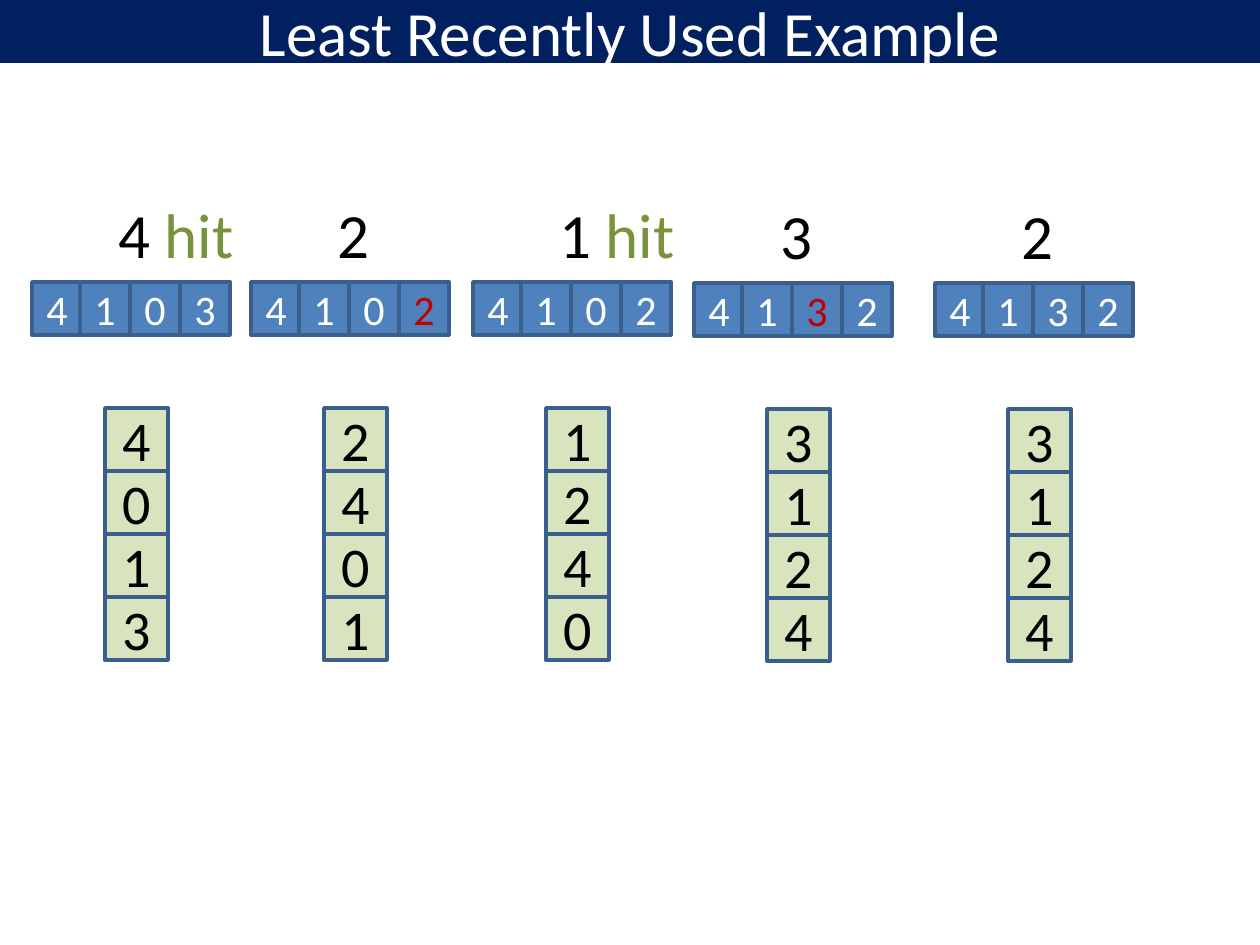
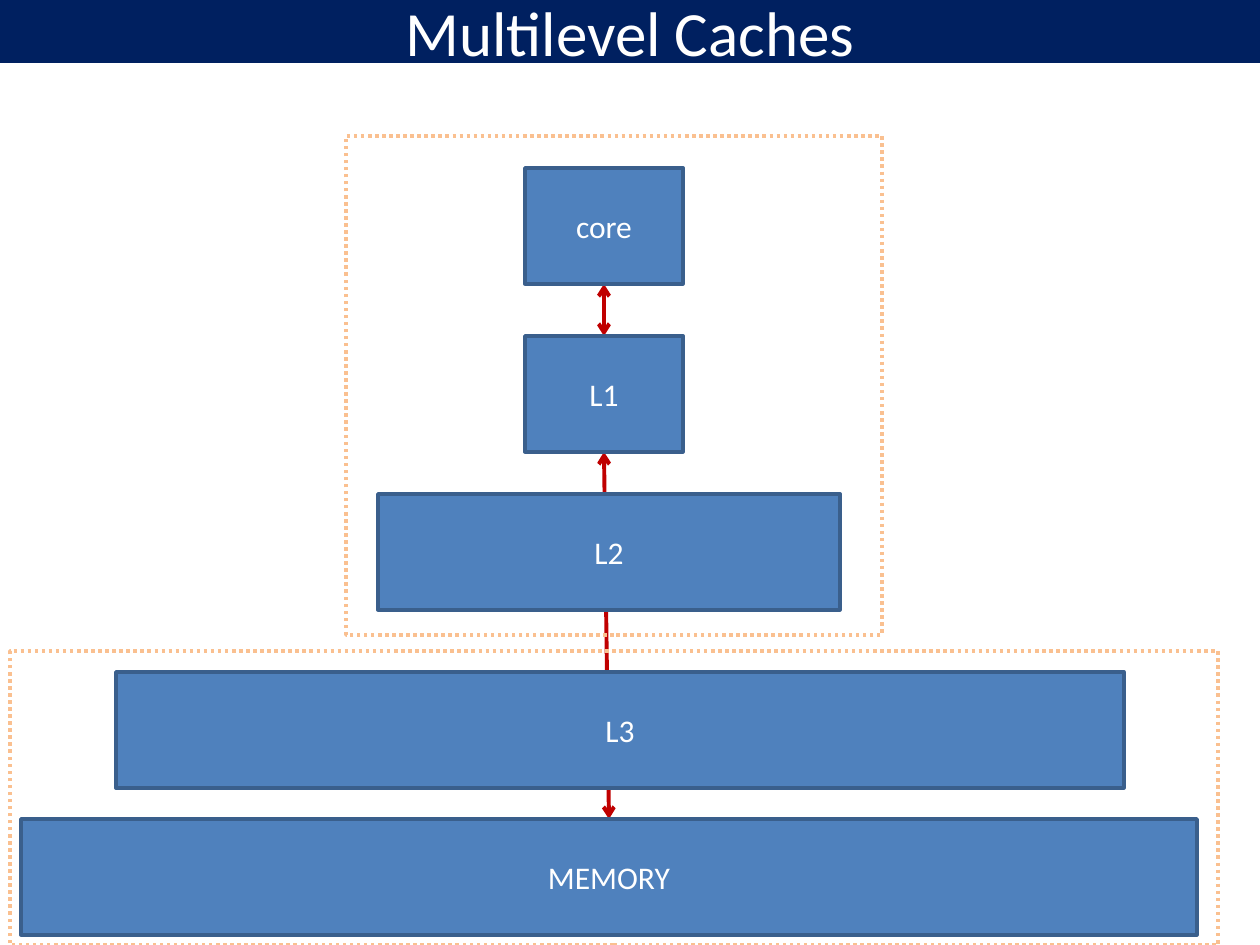
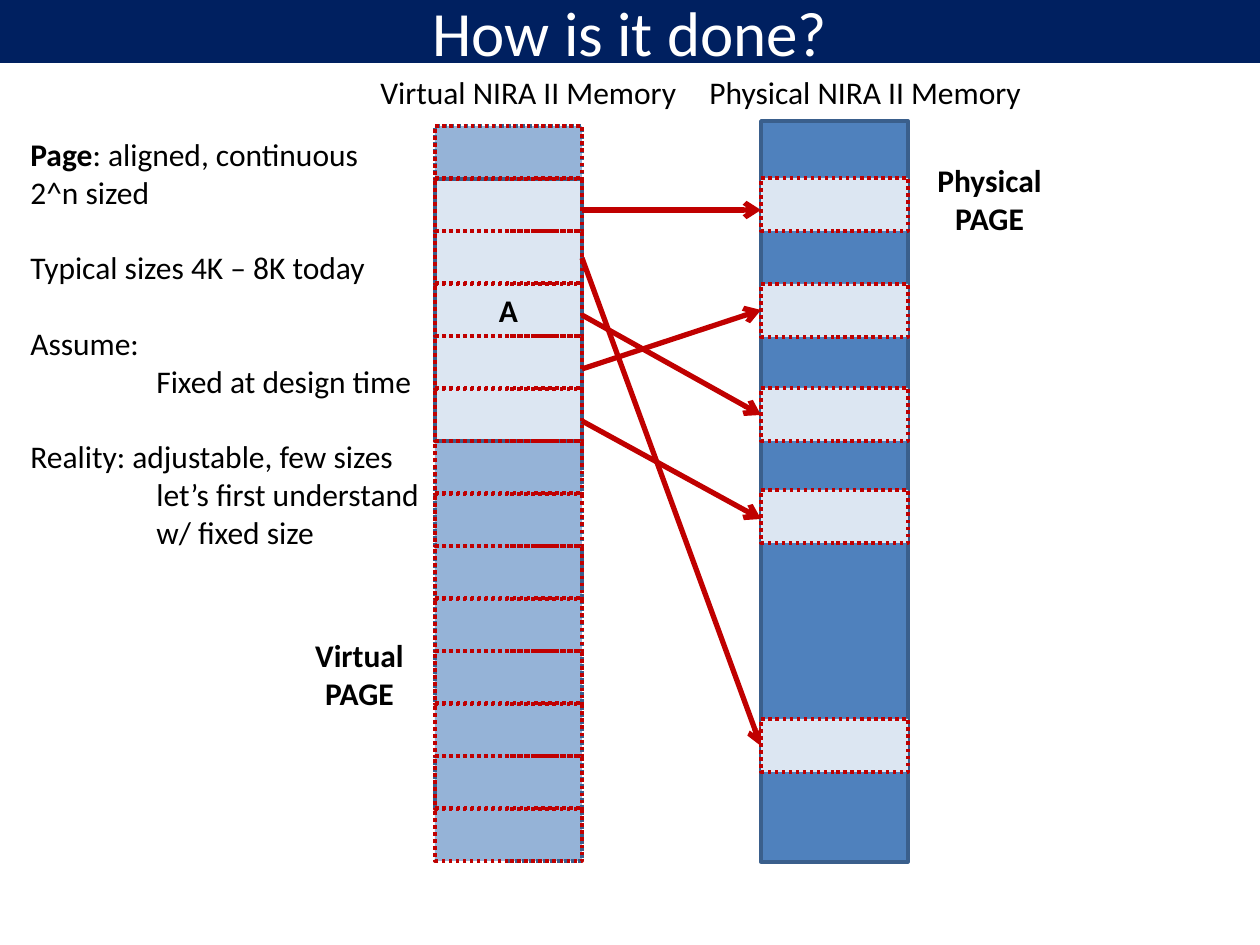
import pptx
import pptx.dml.color
import pptx.enum.dml
import pptx.enum.shapes
import pptx.enum.text
import pptx.oxml.ns
import pptx.util
from lxml import etree

PX_PER_INCH = 126
WIDTH, HEIGHT = 1260, 945
NAVY, BLUE, OUTLINE, RED = "002060", "4F81BD", "3A5F8C", "C00000"
PALE_GREEN, GREEN, ORANGE = "D7E4BD", "77933C", "FAC090"
MID_BLUE, PALE_BLUE = "95B3D7", "DCE6F2"
BLACK, WHITE = "000000", "FFFFFF"
DOTTED = pptx.enum.dml.MSO_LINE.ROUND_DOT
CENTER = pptx.enum.text.PP_ALIGN.CENTER
LEFT = pptx.enum.text.PP_ALIGN.LEFT


def px(*lengths):
    """Turn whole pixels into EMU."""
    return [pptx.util.Emu(length * 914400 // PX_PER_INCH) for length in lengths]


def color(hex_string):
    return pptx.dml.color.RGBColor.from_string(hex_string)


class Deck:
    """Holds the shared style and the slide being drawn."""

    def __init__(self):
        self.presentation = pptx.Presentation()
        self.presentation.slide_width, self.presentation.slide_height = px(WIDTH, HEIGHT)
        self.slide = None
        self.shapes = None

    def new_slide(self, title):
        self.slide = self.presentation.slides.add_slide(self.presentation.slide_layouts[5])
        self.shapes = self.slide.shapes
        shape = self.shapes.title
        places = zip(("left", "top", "width", "height"), px(0, 0, WIDTH, 63))
        for name, value in places:
            setattr(shape, name, value)
        self.paint(shape, NAVY)
        frame = shape.text_frame
        frame.auto_size = pptx.enum.text.MSO_AUTO_SIZE.NONE
        frame.vertical_anchor = pptx.enum.text.MSO_ANCHOR.MIDDLE
        self.add_runs(frame.paragraphs[0], [(title, {})], 36, WHITE, CENTER)

    def new_group(self):
        """Send the next elements to a new group on the current slide."""
        self.shapes = self.slide.shapes.add_group_shape().shapes

    def paint(self, shape, fill):
        if fill:
            shape.fill.solid()
            shape.fill.fore_color.rgb = color(fill)
        else:
            shape.fill.background()

    def add_runs(self, paragraph, runs, size, ink, align=LEFT):
        """Add runs given as (text, changes to the base format)."""
        paragraph.alignment = align
        for text, changes in runs:
            run = paragraph.add_run()
            run.text = text
            style = {"name": "Calibri", "size": pptx.util.Pt(size), "ink": ink, **changes}
            run.font.color.rgb = color(style.pop("ink"))
            for name, value in style.items():
                setattr(run.font, name, value)

    def box(self, place, fill=None, text="", size=18, ink=WHITE, line=OUTLINE, dash=None, bold=False):
        shape = self.shapes.add_shape(pptx.enum.shapes.MSO_SHAPE.RECTANGLE, *px(*place))
        shape.shadow.inherit = False
        self.paint(shape, fill)
        shape.line.color.rgb = color(line)
        shape.line.width = pptx.util.Pt(2)
        if dash:
            shape.line.dash_style = dash
        if text:
            self.add_runs(shape.text_frame.paragraphs[0], [(text, {"bold": bold})], size, ink, CENTER)

    def text(self, place, lines, size=18, align=LEFT):
        """Add lines given as (runs, gap above in points, left indent in px)."""
        frame = self.shapes.add_textbox(*px(*place)).text_frame
        frame.word_wrap = False
        frame.auto_size = pptx.enum.text.MSO_AUTO_SIZE.SHAPE_TO_FIT_TEXT
        for index, (runs, gap, indent) in enumerate(lines):
            paragraph = frame.add_paragraph() if index else frame.paragraphs[0]
            self.add_runs(paragraph, runs, size, BLACK, align)
            if gap:
                paragraph.space_before = pptx.util.Pt(gap)
            if indent:
                paragraph._p.get_or_add_pPr().set("marL", str(px(indent)[0]))

    def arrow(self, ends, width, both_ends=False):
        connector = self.shapes.add_connector(pptx.enum.shapes.MSO_CONNECTOR.STRAIGHT, *px(*ends))
        connector.line.color.rgb = color(RED)
        connector.line.width = pptx.util.Pt(width)
        properties = connector.element.spPr
        line = properties.find(pptx.oxml.ns.qn("a:ln"))
        for end in ("headEnd", "tailEnd") if both_ends else ("tailEnd",):
            etree.SubElement(line, pptx.oxml.ns.qn("a:" + end), type="arrow")
        etree.SubElement(properties, pptx.oxml.ns.qn("a:effectLst"))


def draw_lru_example(deck):
    deck.new_slide("Least Recently Used Example")
    # left and top of the recency stack, request, hit, cache, replaced slot, stack
    steps = [
        (105, 408, "4", True, "4103", None, "4013"),
        (324, 408, "2", False, "4102", 3, "2401"),
        (546, 408, "1", True, "4102", None, "1240"),
        (767, 409, "3", False, "4132", 2, "3124"),
        (1008, 409, "2", False, "4132", None, "3124"),
    ]
    for left, top, request, hit, cache, replaced, stack in steps:
        deck.new_group()
        for row, page in enumerate(stack):
            deck.box((left, top + 63 * row, 63, 63), PALE_GREEN, page, 32, BLACK)
        runs = [(request + " ", {}), ("hit", {"ink": GREEN})] if hit else [(request, {})]
        deck.text((left + 1, top - 219, 141 if hit else 58, 89), [(runs, 0, 0)], 36)
        for slot, (offset, page) in enumerate(zip((0, 48, 98, 148), cache)):
            ink = RED if slot == replaced else WHITE
            deck.box((left - 73 + offset, top - 126, 50, 53), BLUE, page, 24, ink)


def draw_multilevel_caches(deck):
    deck.new_slide("Multilevel Caches")
    deck.arrow((604, 284, 604, 336), 2.25, both_ends=True)
    deck.arrow((604, 452, 609, 819), 2.25, both_ends=True)
    for frame in ((346, 136, 536, 499), (10, 651, 1208, 294)):
        deck.box(frame, line=ORANGE, dash=DOTTED)
    levels = [
        ("core", 525, 168, 158),
        ("L1", 525, 336, 158),
        ("L2", 378, 494, 462),
        ("L3", 116, 672, 1008),
        ("MEMORY", 21, 819, 1176),
    ]
    for name, left, top, width in levels:
        deck.box((left, top, width, 116), BLUE, name)


def draw_page_mapping(deck):
    deck.new_slide("How is it done?")
    virtual, physical, width, page_height = 435, 761, 147, 53
    deck.box((virtual, 126, width, 735), MID_BLUE, dash=DOTTED)
    deck.box((virtual, 179, width, 262), PALE_BLUE, "A", ink=BLACK, bold=True)
    deck.box((physical, 121, width, 741), BLUE)
    for page in range(14):
        deck.box((virtual, 126 + page * 105 // 2, width, page_height), line=RED, dash=DOTTED)

    # arrow start, arrow end, top of the physical page
    mappings = [(210, 210, 178), (258, 746, 719), (315, 415, 388), (369, 310, 284), (421, 519, 490)]
    for start, end, top in mappings:
        deck.arrow((virtual + width, start, physical, end), 3)
        deck.box((physical, top, width, page_height), PALE_BLUE, line=RED, dash=DOTTED)

    bold = {"bold": True}
    deck.text((368, 67, 325, 50), [([("Virtual NIRA II Memory", {})], 0, 0)])
    deck.text((697, 67, 340, 50), [([("Physical NIRA II Memory", {})], 0, 0)])
    for kind, place in (("Physical", (924, 155, 131, 89)), ("Virtual", (302, 630, 115, 89))):
        deck.text(place, [([(word, bold)], 0, 0) for word in (kind, "PAGE")], align=CENTER)

    blank_line, indent = 21.5, 126
    notes = [
        ("2^n sized", 0, 0),
        ("Typical sizes 4K – 8K today", blank_line, 0),
        ("Assume:", blank_line, 0),
        ("Fixed at design time", 0, indent),
        ("Reality: adjustable, few sizes", blank_line, 0),
        ("let’s first understand", 0, indent),
        ("w/ fixed size", 0, indent),
    ]
    lines = [([("Page", bold), (": aligned, continuous", {})], 0, 0)]
    lines += [([(words, {})], gap, left) for words, gap, left in notes]
    deck.text((18, 129, 418, 432), lines)


def main():
    deck = Deck()
    draw_lru_example(deck)
    draw_multilevel_caches(deck)
    draw_page_mapping(deck)
    deck.presentation.save("out.pptx")


if __name__ == "__main__":
    main()
